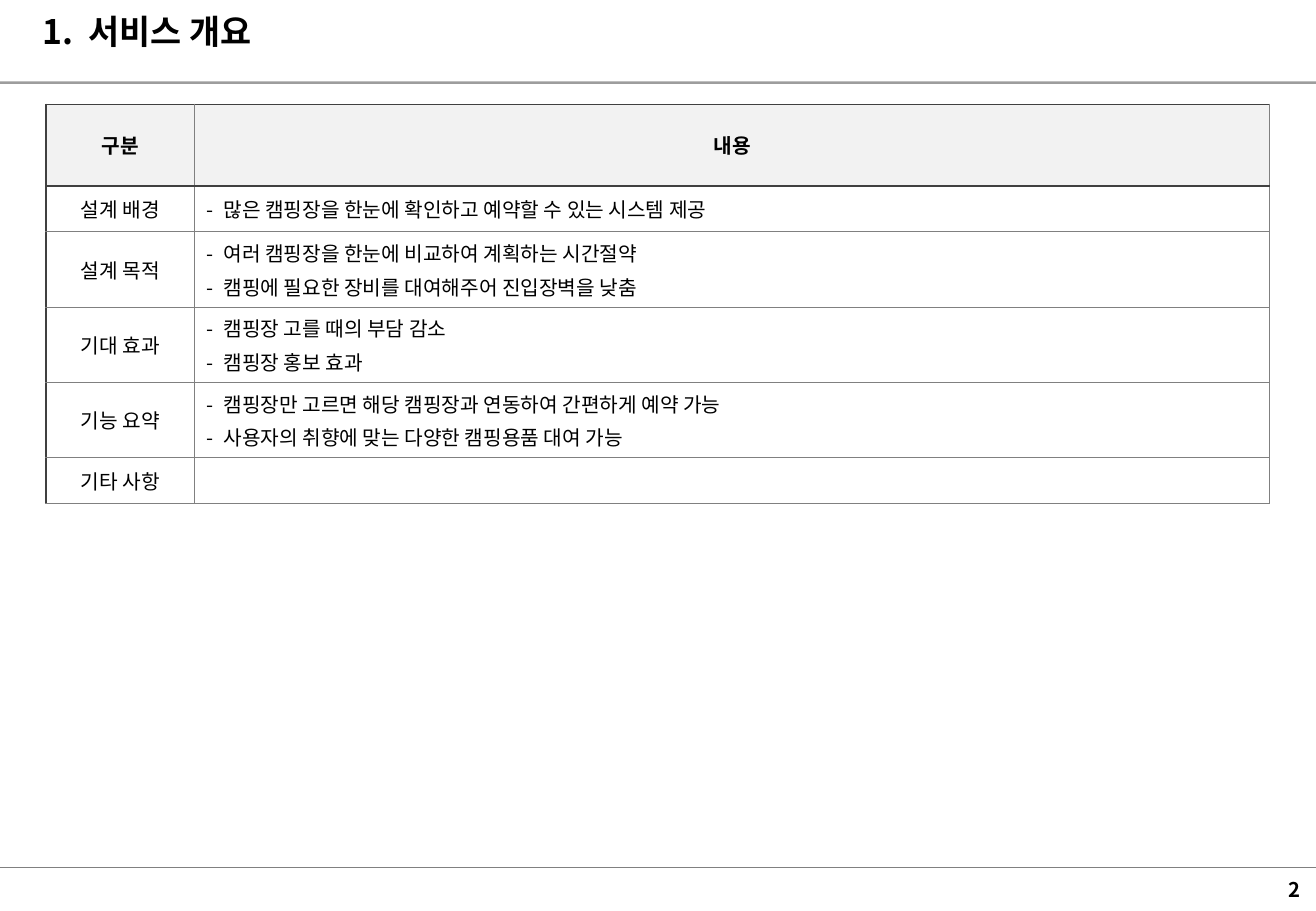
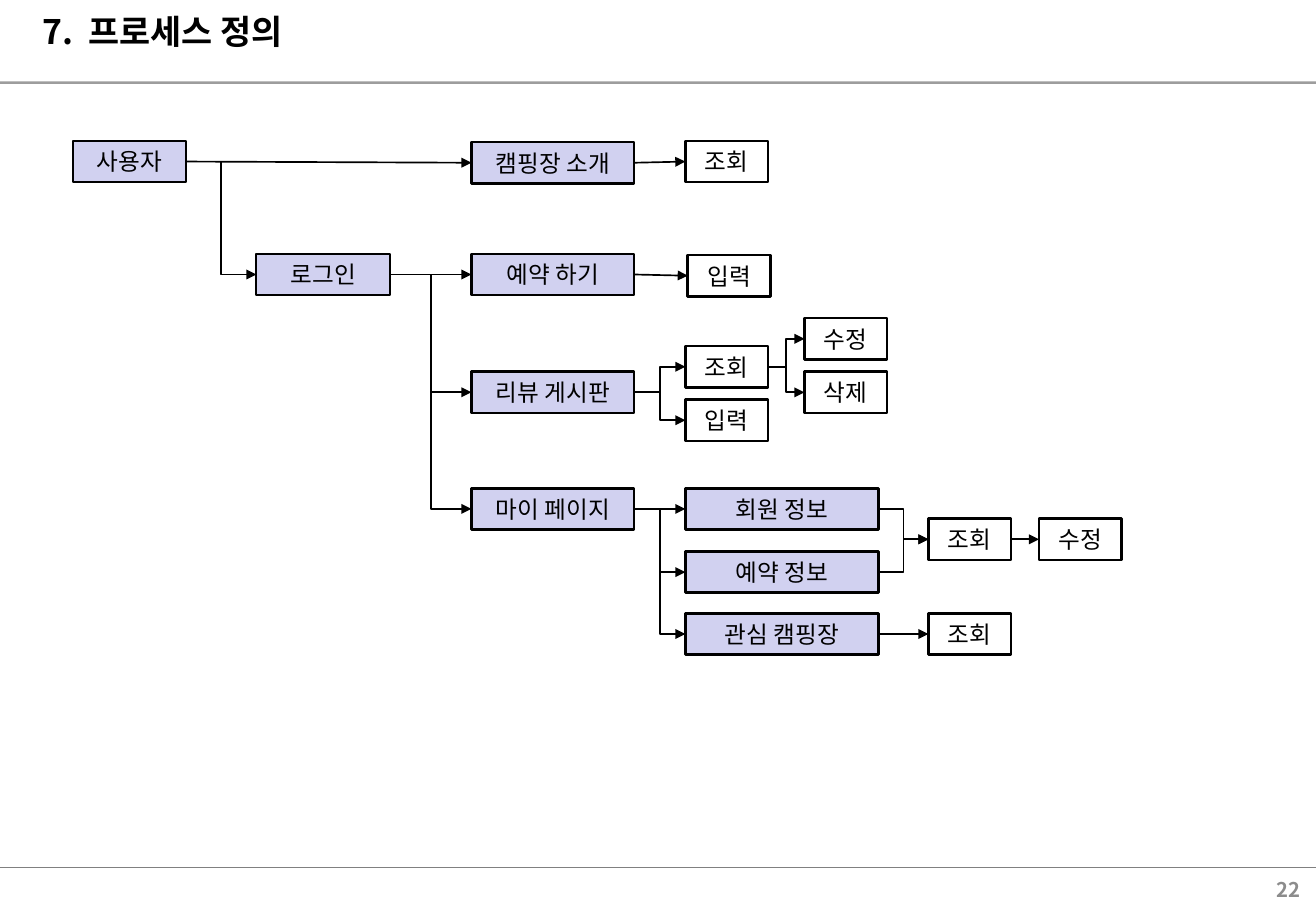
from lxml import etree
from pptx import Presentation
from pptx.dml.color import RGBColor
from pptx.enum.shapes import MSO_CONNECTOR, MSO_SHAPE
from pptx.enum.text import MSO_ANCHOR, PP_ALIGN
from pptx.oxml.ns import qn
from pptx.util import Inches, Pt

STRAIGHT, ELBOW = MSO_CONNECTOR.STRAIGHT, MSO_CONNECTOR.ELBOW
RECT = MSO_SHAPE.RECTANGLE
LEFT, CENTER, RIGHT = PP_ALIGN.LEFT, PP_ALIGN.CENTER, PP_ALIGN.RIGHT
TOP, MIDDLE = MSO_ANCHOR.TOP, MSO_ANCHOR.MIDDLE

FONT = "Noto Sans CJK KR"
WIDTH, HEIGHT = 10.83, 7.5
COLORS = {
    "ink": "000000", "rule": "808080", "edge": "404040",
    "head": "F2F2F2", "tint": "D1D1F0", "mute": "8C8C8C",
}

# Table: label, then lines of content
ROWS = [
    ("설계 배경", ["많은 캠핑장을 한눈에 확인하고 예약할 수 있는 시스템 제공"]),
    ("설계 목적", ["여러 캠핑장을 한눈에 비교하여 계획하는 시간절약",
               "캠핑에 필요한 장비를 대여해주어 진입장벽을 낮춤"]),
    ("기대 효과", ["캠핑장 고를 때의 부담 감소", "캠핑장 홍보 효과"]),
    ("기능 요약", ["캠핑장만 고르면 해당 캠핑장과 연동하여 간편하게 예약 가능",
               "사용자의 취향에 맞는 다양한 캠핑용품 대여 가능"]),
    ("기타 사항", []),
]

# Process boxes by kind: width, fill, line width
KINDS = {
    "user": (0.93, "tint", 1), "login": (1.1, "tint", 1),
    "menu": (1.34, "tint", 1.5), "info": (1.59, "tint", 1.5),
    "act": (0.68, None, 1.5),
}
BOX_H = 0.34
# Key: kind, text, left, top
BOXES = {
    "user": ("user", "사용자", 0.6, 1.16),
    "login": ("login", "로그인", 2.11, 2.09),
    "intro": ("menu", "캠핑장 소개", 3.88, 1.17),
    "book": ("menu", "예약 하기", 3.88, 2.09),
    "review": ("menu", "리뷰 게시판", 3.88, 3.06),
    "my": ("menu", "마이 페이지", 3.88, 4.02),
    "member": ("info", "회원 정보", 5.64, 4.02),
    "booked": ("info", "예약 정보", 5.64, 4.54),
    "liked": ("info", "관심 캠핑장", 5.64, 5.05),
    "intro view": ("act", "조회", 5.64, 1.16),
    "book add": ("act", "입력", 5.66, 2.1),
    "review view": ("act", "조회", 5.64, 2.85),
    "review add": ("act", "입력", 5.64, 3.29),
    "review edit": ("act", "수정", 6.62, 2.62),
    "review drop": ("act", "삭제", 6.62, 3.06),
    "my view": ("act", "조회", 7.64, 4.27),
    "my edit": ("act", "수정", 8.55, 4.27),
    "liked view": ("act", "조회", 7.64, 5.05),
}
FLOWS = {
    "user": ["intro", "login"],
    "login": ["book", "review", "my"],
    "intro": ["intro view"],
    "book": ["book add"],
    "review": ["review view", "review add"],
    "review view": ["review edit", "review drop"],
    "my": ["member", "booked", "liked"],
    "member": ["my view"],
    "booked": ["my view"],
    "my view": ["my edit"],
    "liked": ["liked view"],
}


def rgb(name):
    return RGBColor.from_string(COLORS[name])


def add(parent, tag, **attrs):
    node = etree.SubElement(parent, qn(tag))
    for key, value in attrs.items():
        node.set(key, str(value))
    return node


def write(para, text, size, bold=False, color="ink", align=LEFT, tab=None):
    """Fill a paragraph; tab is the stop after a leading mark, in inches."""
    para.text = text
    para.alignment = align
    font = para.font
    font.size, font.bold, font.name = Pt(size), bold, FONT
    font.color.rgb = rgb(color)
    base = para._p.pPr.find(qn("a:defRPr"))
    add(base, "a:ea", typeface=FONT)
    if tab:
        stops = etree.Element(qn("a:tabLst"))
        add(stops, "a:tab", pos=Inches(tab), algn="l")
        base.addprevious(stops)


def label(slide, box, text, size, anchor=MIDDLE, **style):
    frame = slide.shapes.add_textbox(*map(Inches, box)).text_frame
    frame.word_wrap = True
    frame.vertical_anchor = anchor
    frame.margin_top = frame.margin_bottom = 0
    write(frame.paragraphs[0], text, size, True, **style)


def link(slide, kind, ends, color, width):
    line = slide.shapes.add_connector(kind, *map(Inches, ends))
    line.line.color.rgb = rgb(color)
    line.line.width = Pt(width)
    add(line._element.spPr, "a:effectLst")
    return line


def page(deck, number, title, color):
    """Blank slide with title, rules and page number."""
    slide = deck.slides.add_slide(deck.slide_layouts[6])
    link(slide, STRAIGHT, (0, 7.14, WIDTH, 7.14), "rule", 0.75)
    band = link(slide, STRAIGHT, (0, 0.68, WIDTH, 0.68), "rule", 1.5)
    tone = band.line._ln.find(".//" + qn("a:srgbClr"))
    add(tone, "a:alpha", val=76000)
    label(slide, (0.25, 0.09, 10.43, 0.49), title, 20, TOP, tab=0.38)
    label(slide, (8.36, 7.17, 2.44, 0.31), str(number), 12,
          color=color, align=RIGHT)
    return slide


def border(cell, row, col):
    """Dark outer left edge and header rules, grey elsewhere."""
    dark = {"L": col == 0, "R": False, "T": row < 2, "B": row == 0}
    props = cell._tc.get_or_add_tcPr()
    for spot, (side, deep) in enumerate(dark.items()):
        line = etree.Element(qn("a:ln" + side))
        line.set("w", str(Pt(1 if deep else 0.75)))
        fill = add(line, "a:solidFill")
        add(fill, "a:srgbClr", val=COLORS["edge" if deep else "rule"])
        props.insert(spot, line)


def fill_cell(cell, lines, **style):
    cell.vertical_anchor = MIDDLE
    frame = cell.text_frame
    for spot, text in enumerate(lines or [""]):
        para = frame.add_paragraph() if spot else frame.paragraphs[0]
        write(para, text, 12, **style)
        para.space_before = Pt(2.4)


def grid(slide):
    heights = [0.67] + [0.62 if len(lines) > 1 else 0.38 for _, lines in ROWS]
    frame = slide.shapes.add_table(
        len(heights), 2, Inches(0.38), Inches(0.86),
        Inches(10.07), Inches(sum(heights)))
    table = frame.table
    table.first_row = table.horz_banding = False
    for col, width in enumerate((1.22, 8.85)):
        table.columns[col].width = Inches(width)
    for row, height in enumerate(heights):
        table.rows[row].height = Inches(height)
        for col in range(2):
            cell = table.cell(row, col)
            if row == 0:
                cell.fill.solid()
                cell.fill.fore_color.rgb = rgb("head")
            else:
                cell.fill.background()
            border(cell, row, col)
    for col, text in enumerate(("구분", "내용")):
        fill_cell(table.cell(0, col), [text], bold=True, align=CENTER)
    for row, (name, lines) in enumerate(ROWS, 1):
        fill_cell(table.cell(row, 0), [name], align=CENTER)
        fill_cell(table.cell(row, 1), ["-\t" + line for line in lines],
                  tab=0.14)


def node(slide, kind, text, left, top):
    width, fill, line = KINDS[kind]
    box = slide.shapes.add_shape(
        RECT, *map(Inches, (left, top, width, BOX_H)))
    box.shadow.inherit = False
    if fill:
        box.fill.solid()
        box.fill.fore_color.rgb = rgb(fill)
    else:
        box.fill.background()
    box.line.color.rgb = rgb("ink")
    box.line.width = Pt(line)
    frame = box.text_frame
    frame.word_wrap = True
    frame.vertical_anchor = MIDDLE
    frame.margin_top = frame.margin_bottom = 0
    write(frame.paragraphs[0], text, 14, align=CENTER)
    return box


def arrow(slide, start, end):
    """Arrow from the right side of one box to the left side of another."""
    level = abs(start.top - end.top) < Inches(0.05)
    line = link(slide, STRAIGHT if level else ELBOW, (0, 0, 0, 0), "ink", 1)
    line.begin_connect(start, 3)
    line.end_connect(end, 1)
    add(line.line._ln, "a:tailEnd", type="triangle")


def main():
    deck = Presentation()
    deck.slide_width, deck.slide_height = Inches(WIDTH), Inches(HEIGHT)

    # Overview table
    grid(page(deck, 2, "1.\t서비스 개요", "ink"))

    # Process tree
    slide = page(deck, 22, "7.\t프로세스 정의", "mute")
    nodes = {key: node(slide, *box) for key, box in BOXES.items()}
    for start, ends in FLOWS.items():
        for end in ends:
            arrow(slide, nodes[start], nodes[end])

    deck.save("out.pptx")


if __name__ == "__main__":
    main()
